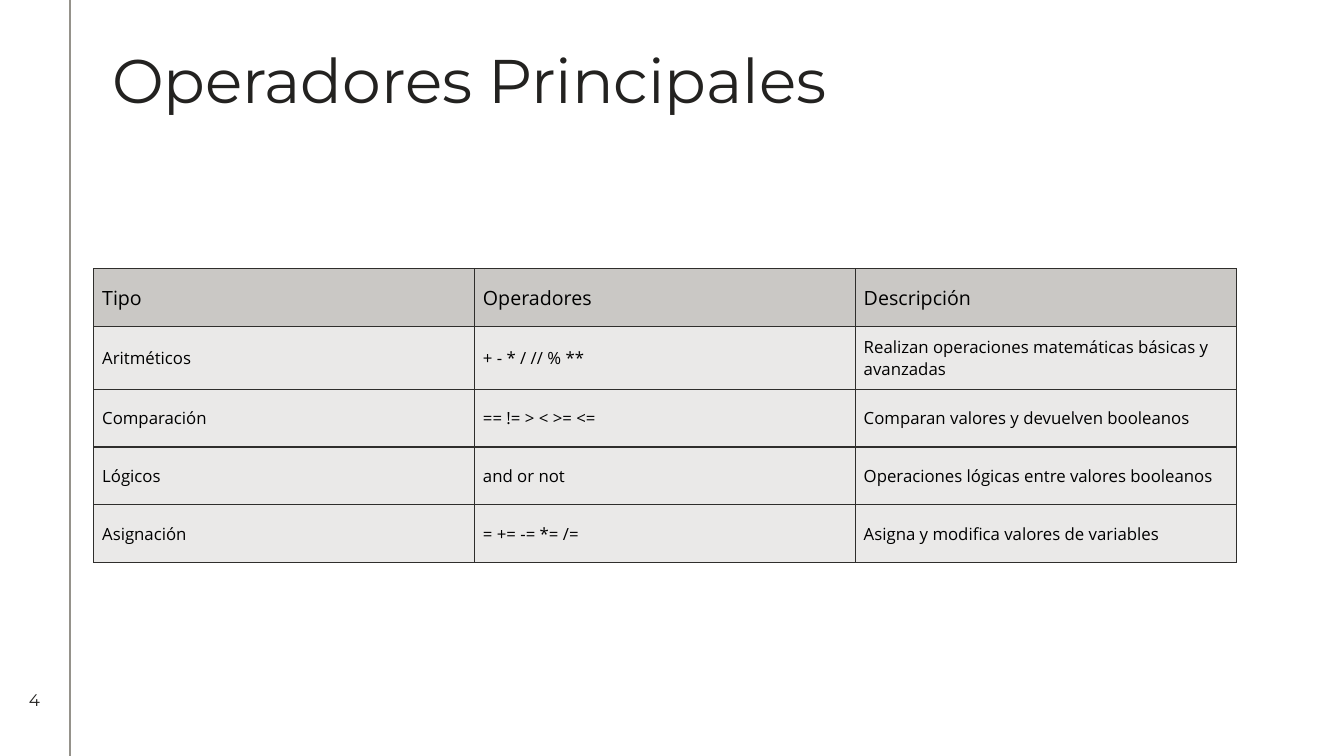
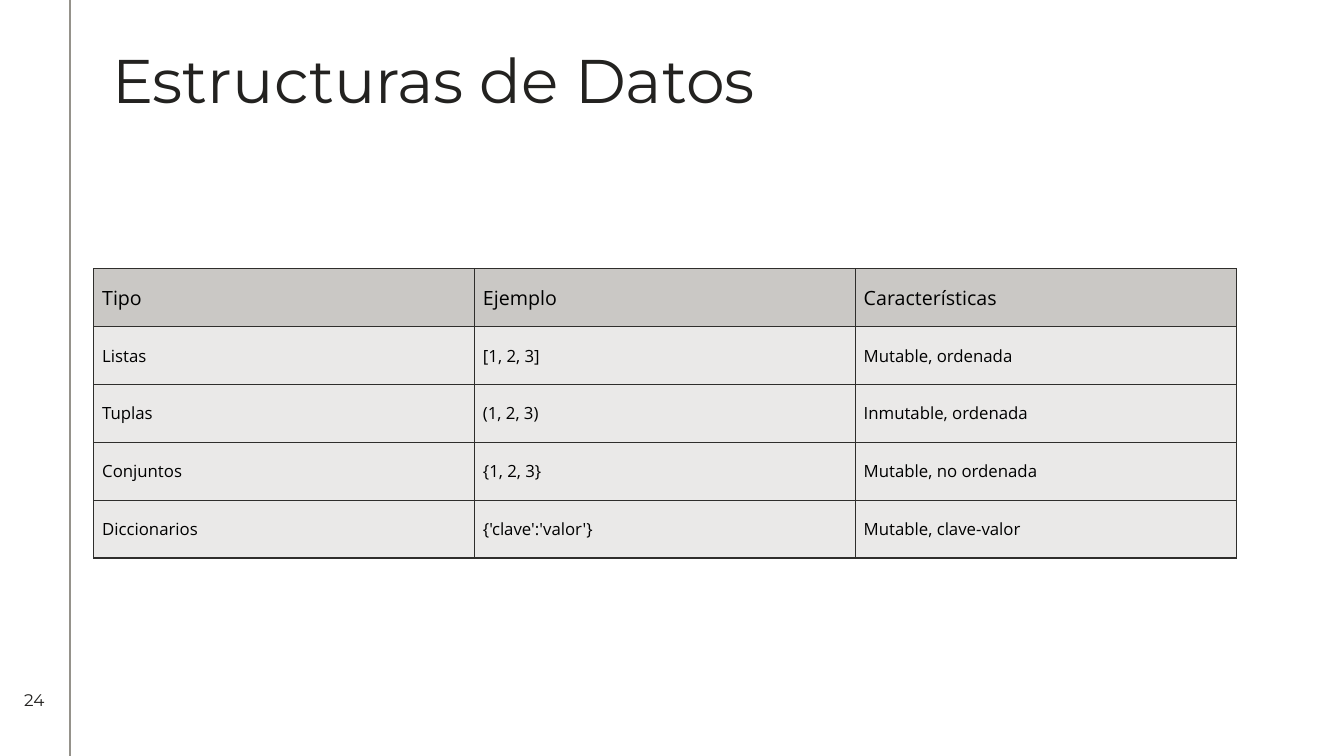
from lxml import etree
from pptx import Presentation
from pptx.dml.color import RGBColor
from pptx.enum.shapes import MSO_CONNECTOR
from pptx.enum.text import MSO_ANCHOR as ANCHOR, MSO_AUTO_SIZE as AUTO, PP_ALIGN as ALIGN
from pptx.oxml import parse_xml
from pptx.oxml.ns import nsdecls, qn
from pptx.util import Pt

# Shared style
SLIDE_W, SLIDE_H = 960, 540
TITLE_ONLY = 5
INSET = 6
INK = RGBColor(0x23, 0x22, 0x20)
BLACK = RGBColor(0, 0, 0)
RULE = RGBColor(0x95, 0x92, 0x8B)
BORDER = RGBColor(0x2F, 0x2E, 0x2C)
HEAD_FILL = RGBColor(0xCA, 0xC8, 0xC5)
BODY_FILL = RGBColor(0xEA, 0xE9, 0xE8)
HEAD_FONT, BODY_FONT = "Montserrat", "Open Sans"

# Table grid
TABLE_X, TABLE_Y, COL_W, ROW_H = 67, 192, 272, 41.33

# Slide contents: number, title, table rows
SLIDES = [
    (4, "Operadores Principales", [
        ("Tipo", "Operadores", "Descripción"),
        ("Aritméticos", "+ - * / // % **",
         "Realizan operaciones matemáticas básicas y avanzadas"),
        ("Comparación", "== != > < >= <=", "Comparan valores y devuelven booleanos"),
        ("Lógicos", "and or not", "Operaciones lógicas entre valores booleanos"),
        ("Asignación", "= += -= *= /=", "Asigna y modifica valores de variables"),
    ]),
    (24, "Estructuras de Datos", [
        ("Tipo", "Ejemplo", "Características"),
        ("Listas", "[1, 2, 3]", "Mutable, ordenada"),
        ("Tuplas", "(1, 2, 3)", "Inmutable, ordenada"),
        ("Conjuntos", "{1, 2, 3}", "Mutable, no ordenada"),
        ("Diccionarios", "{'clave':'valor'}", "Mutable, clave-valor"),
    ]),
]


def write(tf, text, size, font=HEAD_FONT, color=INK, align=ALIGN.LEFT):
    """Put one formatted run into a text frame."""
    tf.word_wrap = True
    p = tf.paragraphs[0]
    p.alignment = align
    r = p.add_run()
    r.text = text
    r.font.name, r.font.size, r.font.bold = font, Pt(size), False
    r.font.color.rgb = color


def set_margins(box):
    box.margin_left = box.margin_right = Pt(INSET)
    box.margin_top = box.margin_bottom = Pt(INSET)


def add_title(s, text):
    sp = s.shapes.title
    sp.left, sp.top, sp.width, sp.height = Pt(74), Pt(24), Pt(811), Pt(67)
    tf = sp.text_frame
    tf.auto_size = AUTO.NONE
    tf.vertical_anchor = ANCHOR.TOP
    set_margins(tf)
    write(tf, text, 44)


def add_rule(s):
    line = s.shapes.add_connector(MSO_CONNECTOR.STRAIGHT, Pt(50), 0, Pt(50), Pt(SLIDE_H))
    line.line.color.rgb = RULE
    line.line.width = Pt(1.5)
    etree.SubElement(line._element.spPr, qn("a:effectLst"))


def add_number(s, number):
    tf = s.shapes.add_textbox(0, Pt(486), Pt(49), Pt(28)).text_frame
    tf.vertical_anchor = ANCHOR.MIDDLE
    write(tf, str(number), 12, align=ALIGN.CENTER)


def set_borders(cell):
    tc_pr = cell._tc.get_or_add_tcPr()
    for side in "LRTB":
        tc_pr.append(parse_xml(
            f'<a:ln{side} {nsdecls("a")} w="{Pt(1)}"><a:solidFill>'
            f'<a:srgbClr val="{BORDER}"/></a:solidFill></a:ln{side}>'))


def add_table(s, rows):
    n_rows, n_cols = len(rows), len(rows[0])
    table = s.shapes.add_table(n_rows, n_cols, Pt(TABLE_X), Pt(TABLE_Y),
                               Pt(n_cols * COL_W), Pt(n_rows * ROW_H)).table
    table.first_row = table.horz_banding = False
    for i, row in enumerate(rows):
        size, fill = (12, BODY_FILL) if i else (14, HEAD_FILL)
        for j, text in enumerate(row):
            cell = table.cell(i, j)
            set_borders(cell)
            cell.fill.solid()
            cell.fill.fore_color.rgb = fill
            cell.vertical_anchor = ANCHOR.MIDDLE
            set_margins(cell)
            write(cell.text_frame, text, size, font=BODY_FONT, color=BLACK)


def main():
    prs = Presentation()
    prs.slide_width, prs.slide_height = Pt(SLIDE_W), Pt(SLIDE_H)
    for number, title, rows in SLIDES:
        s = prs.slides.add_slide(prs.slide_layouts[TITLE_ONLY])
        add_rule(s)
        add_table(s, rows)
        add_title(s, title)
        add_number(s, number)
    prs.save("out.pptx")


if __name__ == "__main__":
    main()
